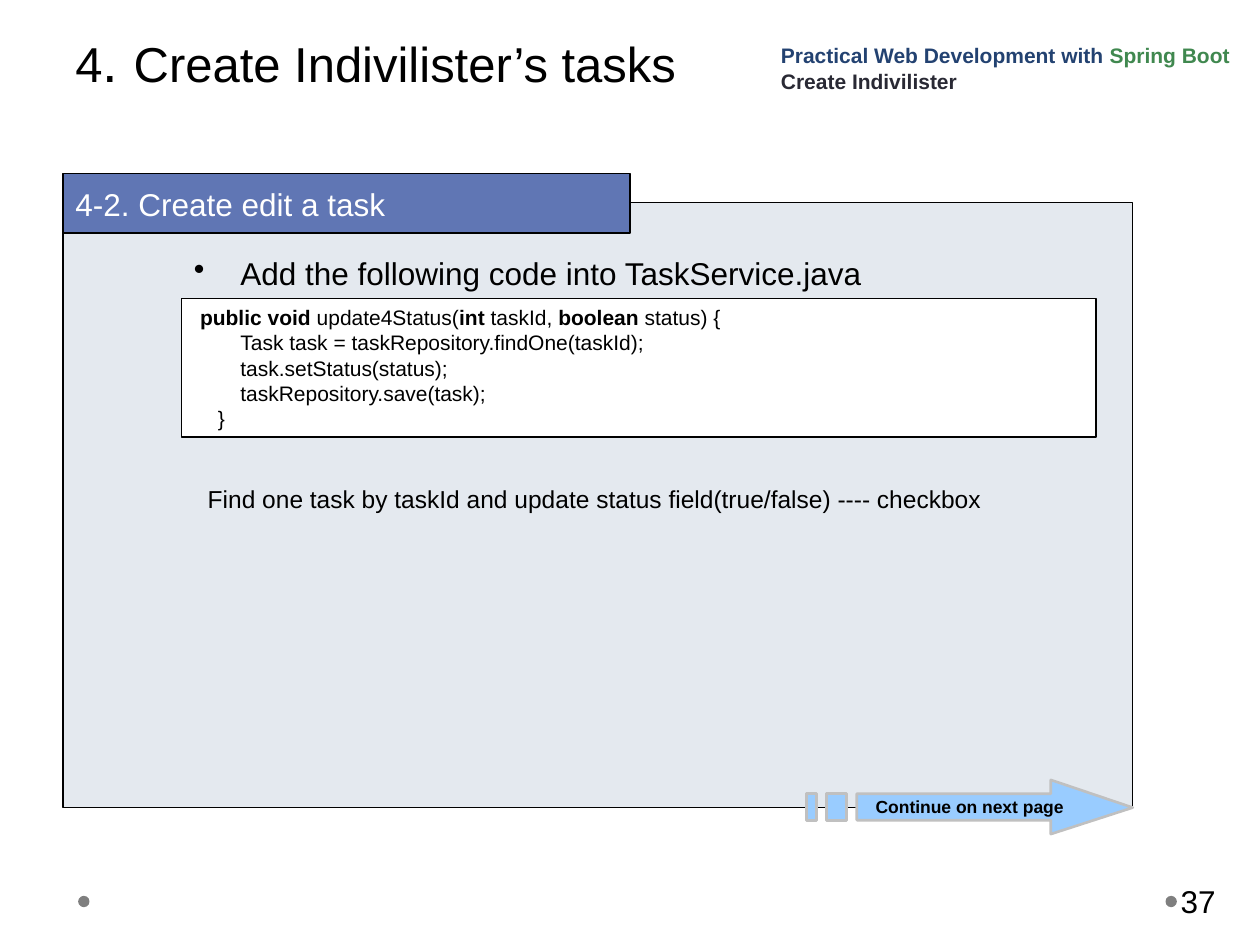
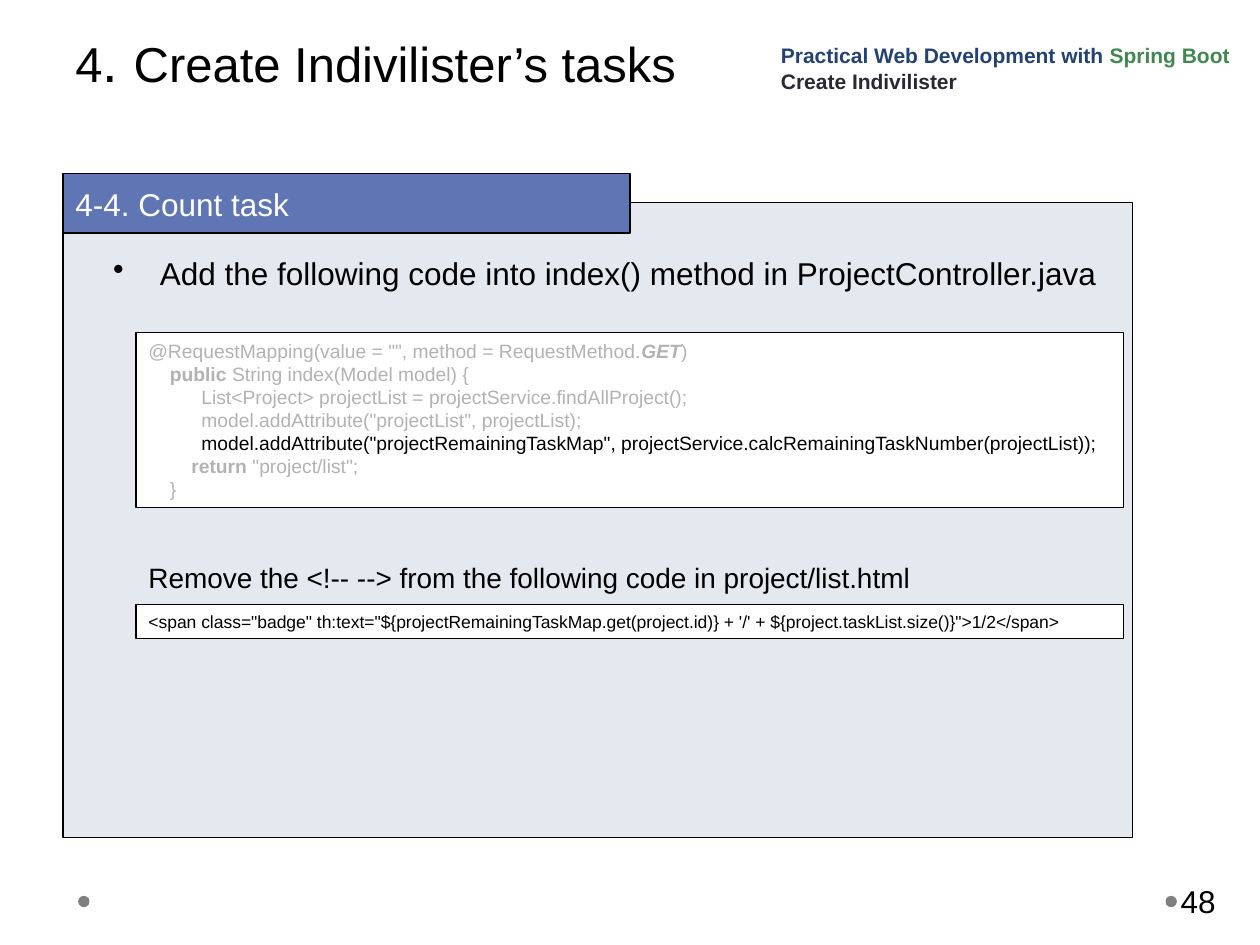
"""Build two tutorial slides about adding task code to a web project."""
from dataclasses import dataclass, field
from typing import Any, NamedTuple, Optional

from lxml import etree
from pptx import Presentation
from pptx import util as u
from pptx.dml import color as hue
from pptx.enum import shapes, text
from pptx.oxml import ns


@dataclass(frozen=True)
class Theme:
    """Colours, font and type sizes shared by the slides."""
    font: str = "Arial"
    black: str = "000000"
    white: str = "FFFFFF"
    panel: str = "E4E9EF"
    band: str = "6076B4"
    navy: str = "234271"
    green: str = "40884F"
    dark: str = "292934"
    faded: str = "B2B2B2"
    dot: str = "7F7F7F"
    arrow: str = "99CCFF"
    rim: str = "C0C0C0"
    title: int = 28
    point: int = 32
    head: int = 18
    note: int = 16
    small: int = 14
    code: int = 12
    dense: int = 11
    tiny: int = 10


T = Theme()


class Run(NamedTuple):
    """A stretch of text with its own format."""
    words: str
    form: dict[str, Any] = {}
    tint: Optional[str] = None


class Para(NamedTuple):
    """A paragraph with a left indent in inches."""
    runs: list[Run]
    left: float = 0
    bullet: bool = False


class Area(NamedTuple):
    """A rectangle in inches."""
    left: float
    top: float
    wide: float
    high: float


@dataclass
class Box:
    """A block of text, framed when it has a fill."""
    area: Area
    paras: list[Para] = field(default_factory=list)
    size: int = T.head
    tint: str = T.black
    fill: Optional[str] = None
    anchor: Any = text.MSO_ANCHOR.TOP
    inset: float = 0.1


@dataclass
class Page:
    """What differs from slide to slide."""
    number: str
    head: str
    depth: float
    boxes: list[Box]
    more: bool = False


BOLD = {"bold": True}
MID = text.MSO_ANCHOR.MIDDLE
DOTS = [0.62, 9.25]


def line(words: str, left: float = 0) -> Para:
    """Return a paragraph of plain text."""
    return Para([Run(words)], left)


def lead(words: str, left: float, wide: float) -> Box:
    """Return the bulleted instruction at the top of the panel."""
    return Box(Area(left, 1.97, wide, 0.4), [Para([Run(words)], 0.37, True)])


def rgb(code: str) -> hue.RGBColor:
    """Turn a hex code into a colour."""
    return hue.RGBColor.from_string(code)


def apply(target: Any, form: dict[str, Any]) -> None:
    """Set each attribute named in the format."""
    for name, value in form.items():
        setattr(target, name, value)


def paint(shape: Any, fill: str, edge: Optional[str] = None, width: float = 0.75) -> None:
    """Fill and outline a shape without a shadow."""
    shape.shadow.inherit = False
    shape.fill.solid()
    shape.fill.fore_color.rgb = rgb(fill)
    if edge:
        shape.line.color.rgb = rgb(edge)
        shape.line.width = u.Pt(width)
    else:
        shape.line.fill.background()


def write(frame: Any, box: Box, align: Any = text.PP_ALIGN.LEFT, wrap: bool = True) -> None:
    """Write the paragraphs of a box into a text frame."""
    apply(frame, {
        "word_wrap": wrap, "vertical_anchor": box.anchor,
        "margin_left": u.Inches(box.inset), "margin_right": u.Inches(0.1),
        "margin_top": u.Inches(0.05), "margin_bottom": u.Inches(0.05),
    })
    for spot, para in enumerate(box.paras):
        item = frame.add_paragraph() if spot else frame.paragraphs[0]
        item.alignment = align
        if para.left:
            props = item._p.get_or_add_pPr()
            props.set("marL", str(u.Inches(para.left)))
            if para.bullet:
                props.set("indent", str(-u.Inches(para.left)))
                etree.SubElement(props, ns.qn("a:buChar"), char="•")
        for run in para.runs:
            part = item.add_run()
            part.text = run.words
            apply(part.font, {"name": T.font, "size": u.Pt(box.size), **run.form})
            part.font.color.rgb = rgb(run.tint or box.tint)


def draw(slide: Any, box: Box) -> None:
    """Draw a text box, or a framed rectangle when filled."""
    place = [u.Inches(side) for side in box.area]
    if box.fill:
        shape = slide.shapes.add_shape(shapes.MSO_SHAPE.RECTANGLE, *place)
        paint(shape, box.fill, T.black)
    else:
        shape = slide.shapes.add_textbox(*place)
    write(shape.text_frame, box)


def point(slide: Any) -> None:
    """Draw the striped arrow that leads to the next page."""
    top, bottom = 6.3, 6.51
    head = [(8.34, 6.19), (8.34, top), (6.8, top), (6.8, bottom),
            (8.34, bottom), (8.34, 6.62), (8.99, 6.41)]
    bars = [[(left, top), (left, bottom), (right, bottom), (right, top)]
            for left, right in [(6.56, 6.72), (6.4, 6.48)]]
    first, *others = [[(u.Inches(x), u.Inches(y)) for x, y in part] for part in [head, *bars]]
    pen = slide.shapes.build_freeform(*first[0])
    pen.add_line_segments(first[1:])
    for part in others:
        pen.move_to(*part[0])
        pen.add_line_segments(part[1:])
    shape = pen.convert_to_shape()
    paint(shape, T.arrow, T.rim, 1.5)
    label = Box(Area(6.4, 6.19, 2.59, 0.43), [Para([Run("Continue on next page", BOLD)])],
                T.tiny, anchor=MID)
    write(shape.text_frame, label, text.PP_ALIGN.CENTER, False)


TITLE = Box(Area(0.5, 0.13, 5.5, 0.69), [Para([
    Run("4"), Run(". ", {"size": u.Pt(T.point)}), Run("Create Indivilister’s tasks")])],
    T.title, anchor=MID)
COURSE = Box(Area(6.1, 0.24, 3.9, 0.55), [
    Para([Run("Practical Web Development with ", BOLD, T.navy),
          Run("Spring Boot", BOLD, T.green)]),
    Para([Run("Create Indivilister", BOLD, T.dark)])], T.code, anchor=text.MSO_ANCHOR.BOTTOM)

PAGES = [
    Page("37", "4-2. Create edit a task", 4.8, [
        lead("Add the following code into TaskService.java", 1.44, 7.74),
        Box(Area(1.55, 3.79, 6.85, 2.03), [line(
            "Find one task by taskId and update status field(true/false) ---- checkbox")], T.small),
        Box(Area(1.44, 2.37, 7.26, 1.1), [
            Para([Run("public void", BOLD), Run(" update4Status("), Run("int", BOLD),
                  Run(" taskId, "), Run("boolean", BOLD), Run(" status) {")], 0.05),
            line("Task task = taskRepository.findOne(taskId);", 0.37),
            line("task.setStatus(status);", 0.37),
            line("taskRepository.save(task);", 0.37),
            line("}", 0.19)], T.code, fill=T.white),
    ], more=True),
    Page("48", "4-4. Count task", 5.04, [
        lead("Add the following code into index() method in ProjectController.java", 0.8, 8.19),
        Box(Area(1.08, 2.64, 7.84, 1.39), [
            Para([Run('@RequestMapping(value = "", method = RequestMethod.'),
                  Run("GET", {"bold": True, "italic": True}), Run(")")]),
            Para([Run("public", BOLD), Run(" String index(Model model) {")], 0.17),
            line("List<Project> projectList = projectService.findAllProject();", 0.42),
            line('model.addAttribute("projectList", projectList);', 0.42),
            Para([Run('model.addAttribute("projectRemainingTaskMap", '
                      "projectService.calcRemainingTaskNumber(projectList));",
                      tint=T.black)], 0.42),
            Para([Run("return", BOLD), Run(' "project/list";')], 0.34),
            line("}", 0.17)], T.dense, T.faded, T.white),
        Box(Area(1.08, 4.8, 7.84, 0.27), [line(
            '<span class="badge" th:text="${projectRemainingTaskMap.get(project.id)}'
            " + '/' + ${project.taskList.size()}\">1/2</span>")], T.tiny, fill=T.white),
        Box(Area(1.08, 4.4, 6.54, 0.36), [line(
            "Remove the <!-- --> from the following code in project/list.html")], T.note),
    ]),
]


def build(deck: Any, page: Page) -> None:
    """Add one slide with the shared frame and its own boxes."""
    slide = deck.slides.add_slide(deck.slide_layouts[6])
    for left in DOTS:
        dot = slide.shapes.add_shape(
            shapes.MSO_SHAPE.OVAL, *[u.Inches(side) for side in (left, 7.11, 0.09, 0.09)])
        paint(dot, T.dot)
    number = Box(Area(9.34, 6.95, 0.61, 0.4), [line(page.number)], anchor=MID, inset=0.03)
    panel = Box(Area(0.5, 1.61, 8.49, page.depth), fill=T.panel)
    band = Box(Area(0.5, 1.38, 4.5, 0.47), [line(page.head)],
               tint=T.white, fill=T.band, anchor=MID)
    for box in [number, panel, TITLE, band, COURSE, *page.boxes]:
        draw(slide, box)
    if page.more:
        point(slide)


def main() -> None:
    """Build and save the deck."""
    deck = Presentation()
    apply(deck, {"slide_width": u.Inches(10), "slide_height": u.Inches(7.5)})
    for page in PAGES:
        build(deck, page)
    deck.save("out.pptx")


if __name__ == "__main__":
    main()
